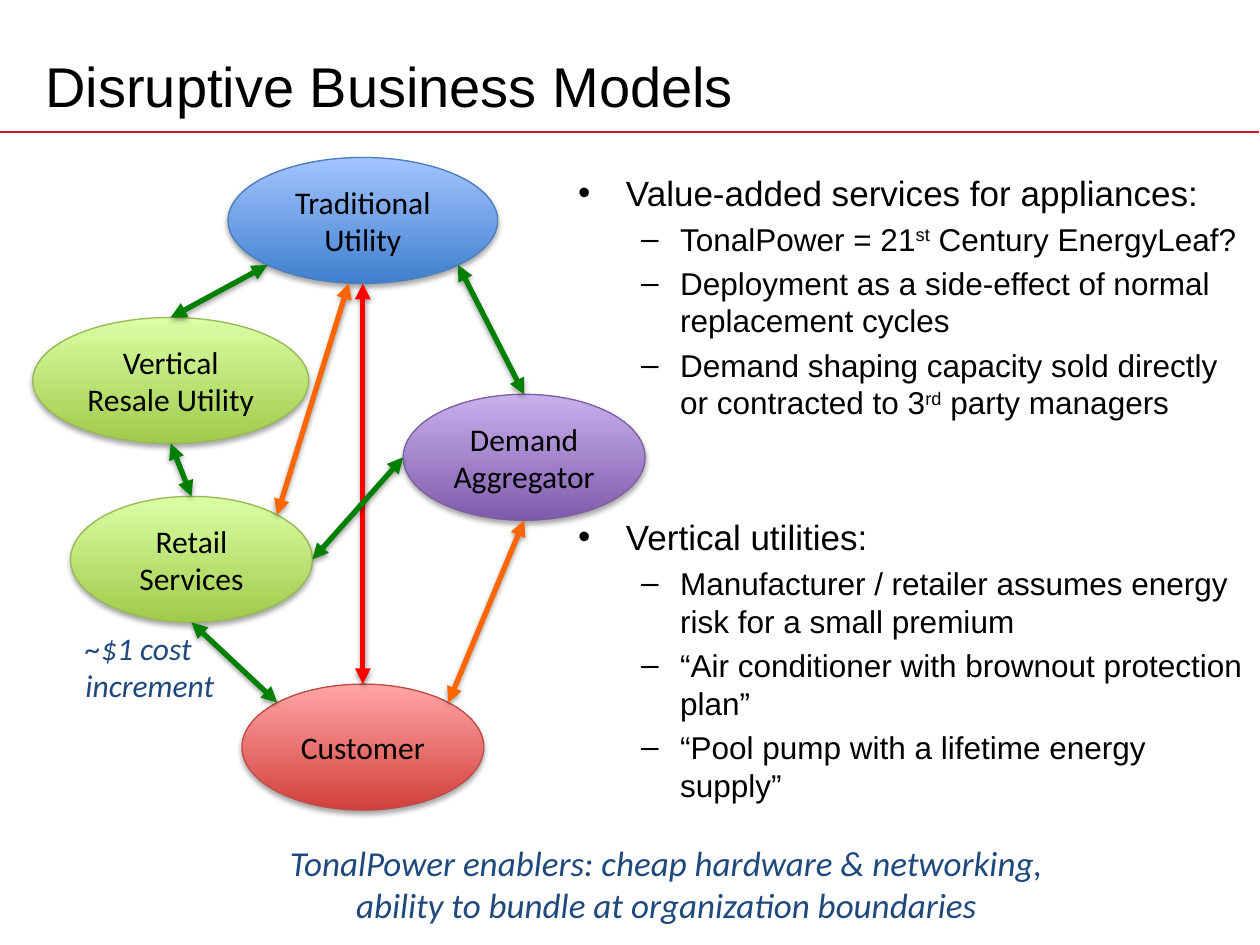
"""Builds the slide on disruptive business models: an actor diagram beside bullets."""
from math import cos, radians, sin

from lxml import etree
from pptx import Presentation
from pptx.dml.color import RGBColor
from pptx.enum.shapes import MSO_CONNECTOR, MSO_SHAPE
from pptx.enum.text import MSO_ANCHOR, PP_ALIGN
from pptx.oxml.ns import qn
from pptx.util import Pt

PX = 9144
OVAL, STRAIGHT = MSO_SHAPE.OVAL, MSO_CONNECTOR.STRAIGHT
LEFT, CENTER = PP_ALIGN.LEFT, PP_ALIGN.CENTER
TOP, MIDDLE = MSO_ANCHOR.TOP, MSO_ANCHOR.MIDDLE

BLACK, NAVY, RULE = "000000", "1F497D", "CE1126"
GREEN, ORANGE, RED = "008000", "FF6600", "FF0000"
LIME_OVAL = ("A0CA4A", "DAFFA5", "98B955")

TITLE = "Disruptive Business Models"
ACTORS = {
    "utility": ("Traditional Utility", (181, 125, 214, 100), ("3F80CE", "A4C4FF", "4B7EBC")),
    "customer": ("Customer", (192, 543, 192, 100), ("D1403C", "FFA6A5", "BF4C48")),
    "aggregator": ("Demand Aggregator", (320, 313, 192, 100), ("7F5BAB", "C8B0ED", "7D60A0")),
    "resale": ("Vertical Resale Utility", (26, 252, 219, 100), LIME_OVAL),
    "retail": ("Retail Services", (56, 394, 192, 100), LIME_OVAL),
}
# Each end is an actor and the angle, clockwise from the right, where the arrow meets it.
ARROWS = [
    (("customer", 270), ("utility", 90), RED),
    (("customer", 315), ("aggregator", 90), ORANGE),
    (("aggregator", 270), ("utility", 45), GREEN),
    (("resale", 270), ("utility", 135), GREEN),
    (("resale", 90), ("retail", 270), GREEN),
    (("retail", 90), ("customer", 225), GREEN),
    (("retail", 0), ("aggregator", 180), GREEN),
    (("retail", 315), ("utility", 96), ORANGE),
]
BULLETS = [
    (0, 4, ["Value-added services for appliances:"]),
    (1, 3.6, ["TonalPower = 21", "st", " Century EnergyLeaf?"]),
    (1, 3.6, ["Deployment as a side-effect of normal replacement cycles"]),
    (1, 3.6, ["Demand shaping capacity sold directly or contracted to 3", "rd",
              " party managers"]),
    (0, 54, ["Vertical utilities:"]),
    (1, 3.6, ["Manufacturer / retailer assumes energy risk for a small premium"]),
    (1, 3.6, ["“Air conditioner with brownout protection plan”"]),
    (1, 3.6, ["“Pool pump with a lifetime energy supply”"]),
]
LEVELS = [("•", 20, 38, 38), ("–", 18, 81, 31)]
NOTES = [
    (["TonalPower enablers: cheap hardware & networking,",
      "ability to bundle at organization boundaries"], (215, 663, 628, 77), 20, CENTER),
    (["~$1 cost", "increment"], (58, 494, 130, 71), 18, LEFT),
]


def color(value):
    return RGBColor.from_string(value)


def scaled(*lengths):
    return [round(length * PX) for length in lengths]


def add_span(para, text, size=18, font="Calibri", ink=BLACK, italic=False, raised=False):
    span = para.add_run()
    span.text = text
    span.font.size, span.font.name, span.font.italic = Pt(size), font, italic
    span.font.color.rgb = color(ink)
    if raised:
        span._r.get_or_add_rPr().set("baseline", "30000")


def write(frame, lines, align=LEFT, anchor=TOP, wrap=True, **style):
    frame.word_wrap, frame.vertical_anchor = wrap, anchor
    for index, line in enumerate(lines):
        para = frame.add_paragraph() if index else frame.paragraphs[0]
        para.alignment = align
        add_span(para, line, **style)


def add_shadow(item, alpha, distance):
    effects = item._element.spPr.get_or_add_effectLst() if hasattr(
        item._element.spPr, "get_or_add_effectLst") else etree.SubElement(
        item._element.spPr, qn("a:effectLst"))
    shadow = etree.SubElement(effects, qn("a:outerShdw"), blurRad=str(Pt(3.1)),
                              dist=str(Pt(distance)), dir="5400000", rotWithShape="0")
    black = etree.SubElement(shadow, qn("a:srgbClr"), val=BLACK)
    etree.SubElement(black, qn("a:alpha"), val=str(alpha * 1000))


def add_line(page, start, end, ink, width):
    line = page.shapes.add_connector(STRAIGHT, *scaled(*start, *end))
    line.line.color.rgb, line.line.width = color(ink), Pt(width)
    return line


def add_actor(page, text, place, colors):
    oval = page.shapes.add_shape(OVAL, *scaled(*place))
    oval.fill.gradient()
    oval.fill.gradient_angle = 90
    for stop, value in zip(oval.fill.gradient_stops, colors):
        stop.color.rgb = color(value)
    oval.line.color.rgb, oval.line.width = color(colors[2]), Pt(0.75)
    add_shadow(oval, 35, 1.8)
    write(oval.text_frame, [text], align=CENTER, anchor=MIDDLE)


def rim_point(actor, angle):
    left, top, width, height = ACTORS[actor][1]
    turn = radians(angle)
    return (left + width / 2 * (1 + cos(turn)), top + height / 2 * (1 + sin(turn)))


def add_arrow(page, start, end, ink):
    arrow = add_line(page, rim_point(*start), rim_point(*end), ink, 3)
    for tag in ("a:headEnd", "a:tailEnd"):
        etree.SubElement(arrow.line._get_or_add_ln(), qn(tag), type="triangle")
    add_shadow(arrow, 38, 1.6)


def add_bullets(page):
    frame = page.shapes.add_textbox(*scaled(449, 131, 553, 495)).text_frame
    frame.word_wrap = True
    for index, (level, gap, spans) in enumerate(BULLETS):
        mark, size, margin, hang = LEVELS[level]
        para = frame.add_paragraph() if index else frame.paragraphs[0]
        para.level, para.space_before = level, Pt(gap)
        props = para._p.get_or_add_pPr()
        props.set("marL", str(margin * PX))
        props.set("indent", str(-hang * PX))
        etree.SubElement(props, qn("a:buFont"), typeface="Arial")
        etree.SubElement(props, qn("a:buChar"), char=mark)
        for order, text in enumerate(spans):
            add_span(para, text, size=size, font="Arial", raised=order % 2 == 1)


def main():
    deck = Presentation()
    deck.slide_width, deck.slide_height = scaled(1000, 750)
    page = deck.slides.add_slide(deck.slide_layouts[5])
    rule = add_line(page, (0, 105), (999, 105), RULE, 1)
    etree.SubElement(rule._element.spPr, qn("a:effectLst"))
    title = page.shapes.title
    title.left, title.top, title.width, title.height = scaled(26, 30, 900, 75)
    write(title.text_frame, [TITLE], anchor=MIDDLE, size=32, font="Arial")
    add_bullets(page)
    for actor in ACTORS.values():
        add_actor(page, *actor)
    for arrow in ARROWS:
        add_arrow(page, *arrow)
    for lines, place, size, align in NOTES:
        box = page.shapes.add_textbox(*scaled(*place))
        write(box.text_frame, lines, align=align, wrap=False, size=size, ink=NAVY, italic=True)
    deck.save("out.pptx")


if __name__ == "__main__":
    main()
